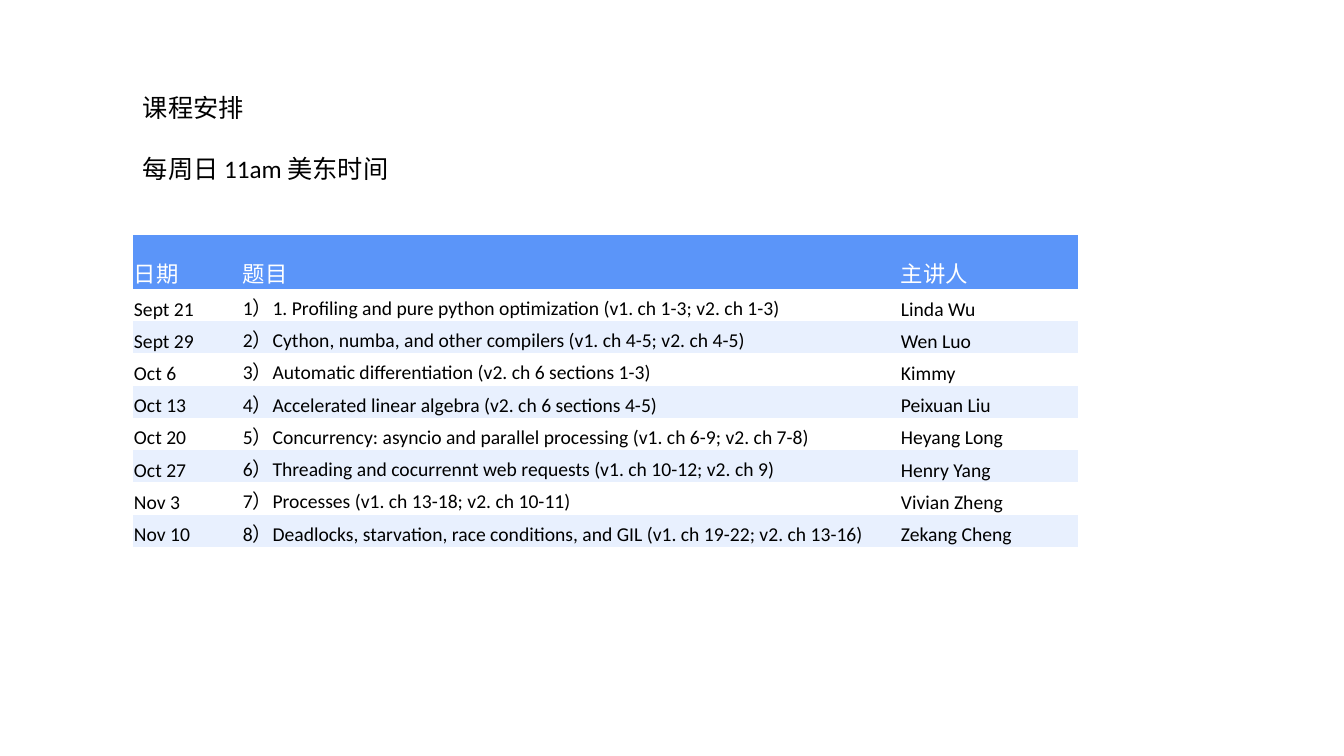
from dataclasses import dataclass

from pptx import Presentation
from pptx.dml.color import RGBColor
from pptx.enum.text import MSO_ANCHOR
from pptx.util import Pt

BOTTOM = MSO_ANCHOR.BOTTOM
SCALE = 914400 / 100.8
PLAIN = "{2D5ABB26-0587-4C30-8999-92F81FD0307C}"


@dataclass(frozen=True)
class Theme:
    font: str = "Calibri"
    ink: str = "000000"
    white: str = "FFFFFF"
    head: str = "5B95F9"
    band: str = "E8F0FE"
    title: int = 18
    label: int = 16
    body: int = 14


THEME = Theme()
TITLE = ("课程安排", "每周日 11am 美东时间")
HEADS = ("日期", "题目", "主讲人")
TALKS = (
    ("Sept 21", "1. Profiling and pure python optimization (v1. ch 1-3; v2. ch 1-3)", "Linda Wu"),
    ("Sept 29", "Cython, numba, and other compilers (v1. ch 4-5; v2. ch 4-5)", "Wen Luo"),
    ("Oct 6", "Automatic differentiation (v2. ch 6 sections 1-3)", "Kimmy"),
    ("Oct 13", "Accelerated linear algebra (v2. ch 6 sections 4-5)", "Peixuan Liu"),
    ("Oct 20", "Concurrency: asyncio and parallel processing (v1. ch 6-9; v2. ch 7-8)", "Heyang Long"),
    ("Oct 27", "Threading and cocurrennt web requests (v1. ch 10-12; v2. ch 9)", "Henry Yang"),
    ("Nov 3", "Processes (v1. ch 13-18; v2. ch 10-11)", "Vivian Zheng"),
    ("Nov 10", "Deadlocks, starvation, race conditions, and GIL (v1. ch 19-22; v2. ch 13-16)", "Zekang Cheng"),
)


def px(count):
    return round(count * SCALE)


def style(para, size, color):
    font = para.font
    font.name = THEME.font
    font.size = Pt(size)
    font.color.rgb = RGBColor.from_string(color)


def add_title(slide, box):
    frame = slide.shapes.add_textbox(*map(px, box)).text_frame
    frame.word_wrap = True
    frame.text = "\n".join(TITLE)
    for para in frame.paragraphs:
        style(para, THEME.title, THEME.ink)
    frame.paragraphs[0].space_after = Pt(22)


def fill_cell(cell, text, size, color, fill):
    cell.margin_left = cell.margin_right = cell.margin_top = px(1)
    cell.margin_bottom = 0
    cell.vertical_anchor = BOTTOM
    cell.fill.solid()
    cell.fill.fore_color.rgb = RGBColor.from_string(fill)
    cell.text = text
    style(cell.text_frame.paragraphs[0], size, color)


def add_plan(slide, box, widths, top):
    """Draw the schedule: a header row of height top, then equal rows."""
    rows = [HEADS]
    rows += [(day, f"{num}）{topic}", name)
             for num, (day, topic, name) in enumerate(TALKS, 1)]
    table = slide.shapes.add_table(len(rows), len(HEADS), *map(px, box)).table
    table._tbl.tblPr[0].text = PLAIN
    for col, width in zip(table.columns, widths):
        col.width = px(width)
    step = (box[3] - top) / len(TALKS)
    for num, texts in enumerate(rows):
        table.rows[num].height = px(step if num else top)
        if num:
            look = THEME.body, THEME.ink, THEME.white if num % 2 else THEME.band
        else:
            look = THEME.label, THEME.white, THEME.head
        for col, text in enumerate(texts):
            fill_cell(table.cell(num, col), text, *look)


def main():
    deck = Presentation()
    deck.slide_width, deck.slide_height = px(1344), px(756)
    slide = deck.slides.add_slide(deck.slide_layouts[6])
    add_plan(slide, (133, 235, 945, 312), (109, 658, 178), 54)
    add_title(slide, (133, 87, 268, 132))
    deck.save("out.pptx")


if __name__ == "__main__":
    main()
